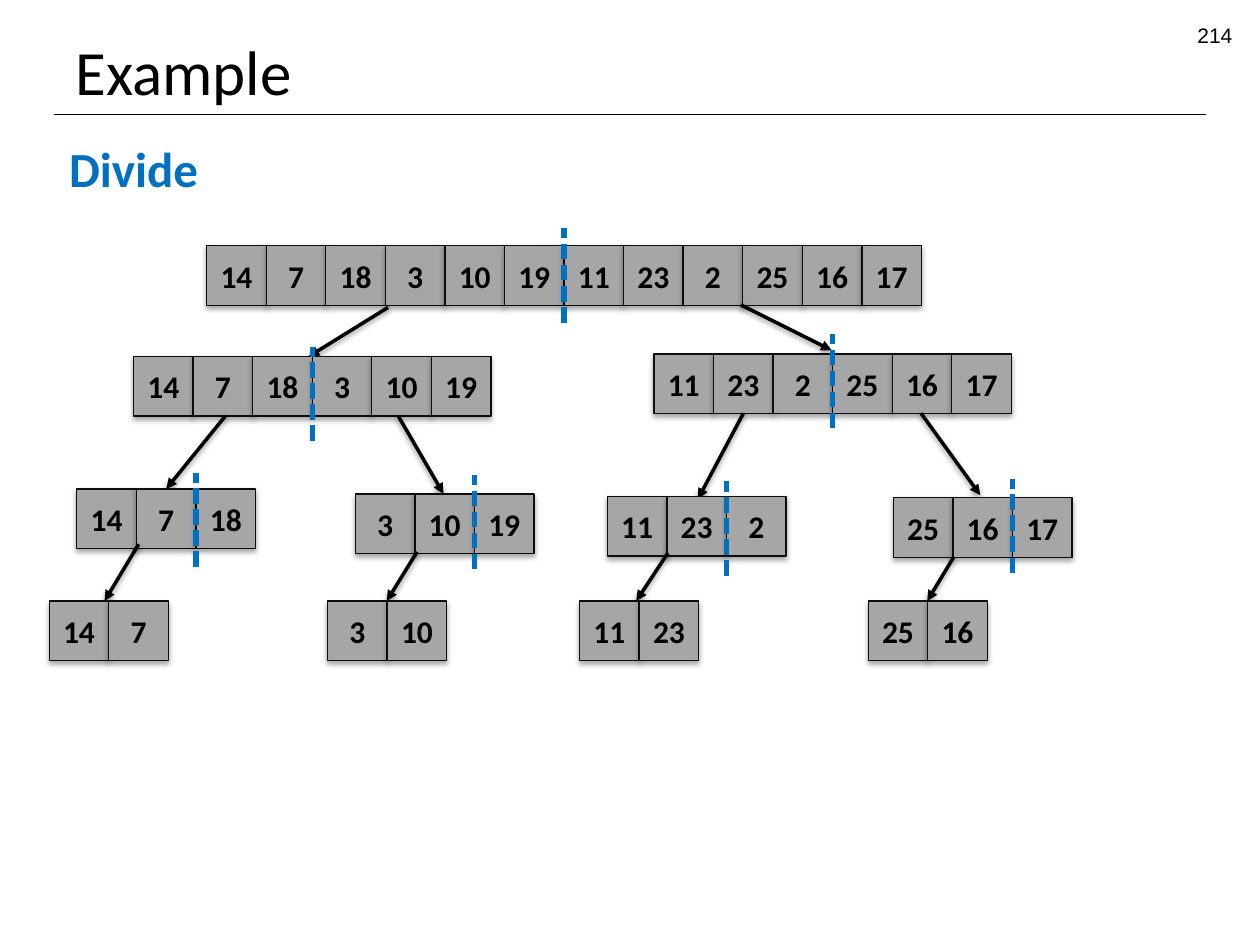
"""Draw the divide phase of merge sort as a tree of split arrays."""
from dataclasses import dataclass
from typing import Optional

from lxml.etree import SubElement
from pptx import Presentation
from pptx.dml.color import RGBColor
from pptx.enum.dml import MSO_LINE
from pptx.enum.shapes import MSO_CONNECTOR as Connector, MSO_SHAPE as Preset
from pptx.enum.text import MSO_ANCHOR as Anchor, PP_ALIGN as Align
from pptx.oxml.ns import qn
from pptx.util import Inches, Pt

Point = tuple[float, float]


@dataclass(frozen=True)
class Shadow:
    blur: float
    distance: float
    opacity: int


@dataclass(frozen=True)
class Theme:
    ink: str = "000000"
    accent: str = "0070C0"
    cell_fill: str = "A6A6A6"
    cell_line: str = "0D0D0D"
    body_font: str = "Calibri"
    number_font: str = "Arial"
    title_size: int = 36
    heading_size: int = 28
    cell_size: int = 18
    number_size: int = 12
    cell_shadow: Shadow = Shadow(3.1, 1.8, 35)
    arrow_shadow: Shadow = Shadow(3.1, 1.6, 38)


@dataclass(frozen=True)
class Part:
    first: int
    end: int
    left: float
    top: float
    split: Optional[int] = None
    split_top: float = 0
    arrow: Optional[tuple[Point, Point]] = None


THEME = Theme()
CELL = 5.2 / 11
SPLIT_HEIGHT = 0.75
NUMBERS = (14, 7, 18, 3, 10, 19, 11, 23, 2, 25, 16, 17)
PARTS = (
    Part(0, 12, 1.64, 1.95, 6, 1.81),
    Part(0, 6, 1.06, 2.83, 3, 2.75, ((3.08, 2.44), (2.45, 2.83))),
    Part(6, 12, 5.19, 2.81, 3, 2.65, ((5.88, 2.42), (6.6, 2.78))),
    Part(0, 3, 0.61, 3.88, 2, 3.75, ((1.79, 3.3), (1.32, 3.88))),
    Part(3, 6, 2.82, 3.92, 2, 3.77, ((3.16, 3.3), (3.52, 3.92))),
    Part(6, 9, 4.82, 3.94, 2, 3.82, ((5.9, 3.28), (5.54, 3.96))),
    Part(9, 12, 7.09, 3.95, 2, 3.8, ((7.31, 3.28), (7.78, 3.93))),
    Part(0, 2, 0.39, 4.77, arrow=((1.1, 4.32), (0.83, 4.77))),
    Part(3, 5, 2.6, 4.77, arrow=((3.31, 4.38), (3.07, 4.77))),
    Part(6, 8, 4.6, 4.77, arrow=((5.3, 4.39), (5.05, 4.77))),
    Part(9, 11, 6.89, 4.77, arrow=((7.57, 4.42), (7.36, 4.77))),
)


def rgb(color: str) -> RGBColor:
    """Turn a hex string into a colour."""
    return RGBColor.from_string(color)


def set_shadow(item, shadow: Optional[Shadow] = None) -> None:
    """Give a shape or connector the stated shadow, or none."""
    effects = SubElement(item._element.spPr, qn("a:effectLst"))
    if shadow:
        outer = SubElement(
            effects, qn("a:outerShdw"), blurRad=str(Pt(shadow.blur)),
            dist=str(Pt(shadow.distance)), dir="5400000", rotWithShape="0")
        color = SubElement(outer, qn("a:srgbClr"), val=THEME.ink)
        SubElement(color, qn("a:alpha"), val=str(shadow.opacity * 1000))


def write(item, text: str, *, size: int, font: str = THEME.body_font,
          color: str = THEME.ink, bold: bool = False, align=Align.LEFT,
          anchor=Anchor.TOP, wrap: bool = True) -> None:
    """Put formatted text into a shape."""
    frame = item.text_frame
    frame.word_wrap = wrap
    frame.vertical_anchor = anchor
    paragraph = frame.paragraphs[0]
    paragraph.alignment = align
    run = paragraph.add_run()
    run.text = text
    run.font.size = Pt(size)
    run.font.name = font
    run.font.bold = bold
    run.font.color.rgb = rgb(color)


def add_label(slide, left: float, top: float, width: float, height: float,
              text: str, **style) -> None:
    """Add a text box."""
    box = slide.shapes.add_textbox(
        Inches(left), Inches(top), Inches(width), Inches(height))
    write(box, text, **style)


def add_line(slide, start: Point, end: Point, width: float,
             color: str = THEME.ink, shadow: Optional[Shadow] = None):
    """Add a straight line and return it."""
    line = slide.shapes.add_connector(
        Connector.STRAIGHT, *(Inches(length) for length in (*start, *end)))
    line.line.width = Pt(width)
    line.line.color.rgb = rgb(color)
    set_shadow(line, shadow)
    return line


def add_arrow(slide, start: Point, end: Point) -> None:
    """Add an arrow from a parent array to its part."""
    arrow = add_line(slide, start, end, 2, shadow=THEME.arrow_shadow)
    SubElement(arrow.line._get_or_add_ln(), qn("a:tailEnd"), type="triangle")


def add_cell(slide, left: float, top: float, number: int) -> None:
    """Add one array cell."""
    cell = slide.shapes.add_shape(
        Preset.RECTANGLE, Inches(left), Inches(top), Inches(CELL), Inches(CELL))
    cell.fill.solid()
    cell.fill.fore_color.rgb = rgb(THEME.cell_fill)
    cell.line.color.rgb = rgb(THEME.cell_line)
    cell.line.width = Pt(0.75)
    set_shadow(cell, THEME.cell_shadow)
    write(cell, str(number), size=THEME.cell_size, bold=True,
          align=Align.CENTER, anchor=Anchor.MIDDLE, wrap=False)


def add_part(slide, part: Part) -> None:
    """Add an array with its incoming arrow and its split mark."""
    if part.arrow:
        add_arrow(slide, *part.arrow)
    for index, number in enumerate(NUMBERS[part.first:part.end]):
        add_cell(slide, part.left + index * CELL, part.top, number)
    if part.split is not None:
        split_x = part.left + part.split * CELL
        split = add_line(slide, (split_x, part.split_top + SPLIT_HEIGHT),
                         (split_x, part.split_top), 3, THEME.accent)
        split.line.dash_style = MSO_LINE.SQUARE_DOT


def main() -> None:
    """Build and save the slide."""
    deck = Presentation()
    deck.slide_width, deck.slide_height = Inches(10), Inches(7.5)
    slide = deck.slides.add_slide(deck.slide_layouts[6])
    add_line(slide, (0.43, 0.91), (9.57, 0.91), 0.75)
    add_label(slide, 0.5, 0.13, 10.96, 0.78, "Example",
              size=THEME.title_size, anchor=Anchor.BOTTOM)
    add_label(slide, 7.55, 0.13, 2.33, 0.28, "214", size=THEME.number_size,
              font=THEME.number_font, align=Align.RIGHT)
    for part in PARTS:
        add_part(slide, part)
    add_label(slide, 0.45, 1.05, 1.24, 0.57, "Divide", color=THEME.accent,
              size=THEME.heading_size, bold=True, wrap=False)
    deck.save("out.pptx")


if __name__ == "__main__":
    main()
